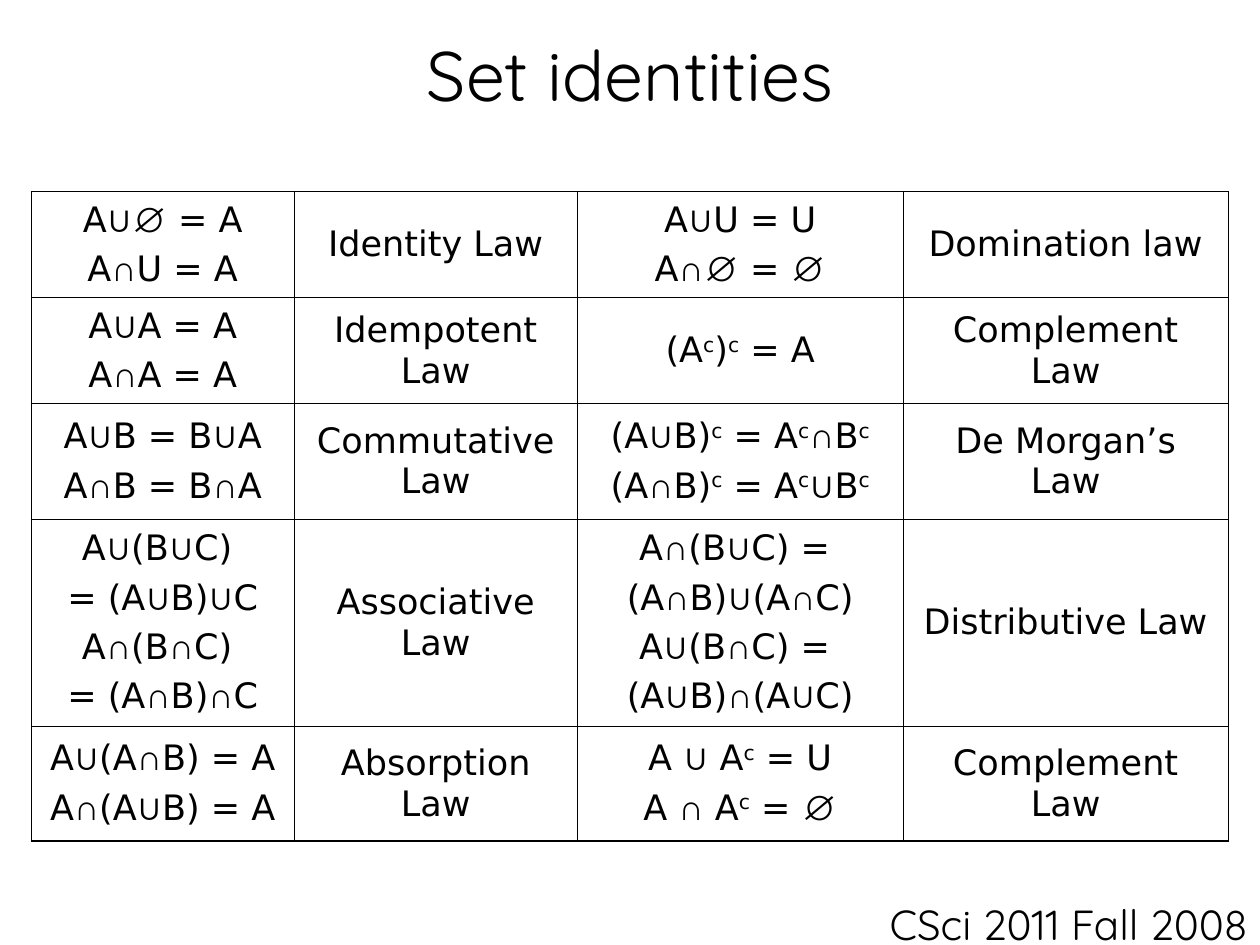
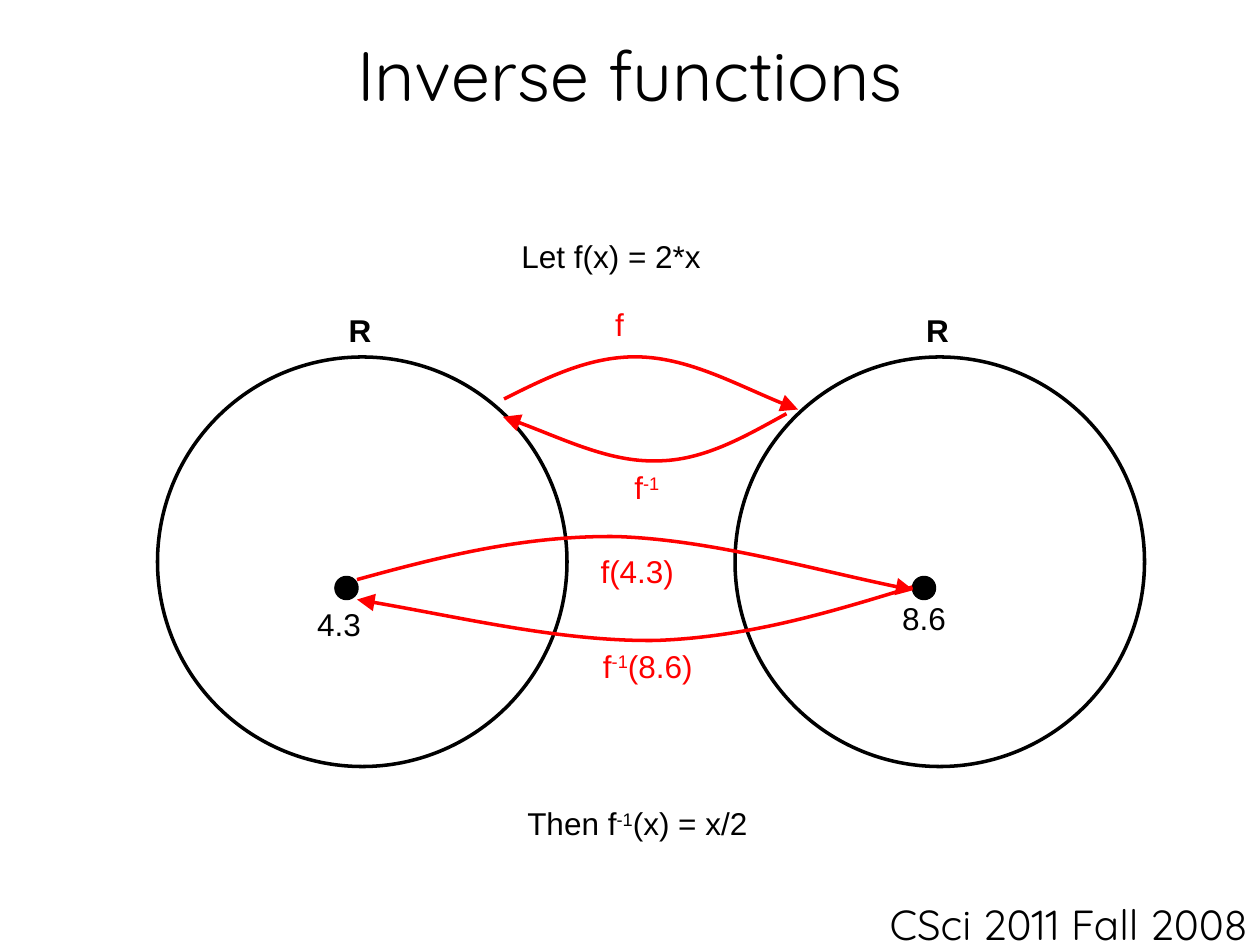
from dataclasses import dataclass
from itertools import groupby

from lxml import etree
from pptx import Presentation
from pptx.dml.color import RGBColor
from pptx.enum.shapes import MSO_SHAPE
from pptx.enum.text import MSO_ANCHOR, MSO_AUTO_SIZE, PP_ALIGN
from pptx.oxml.ns import qn
from pptx.shapes.base import BaseShape
from pptx.slide import Slide
from pptx.table import _Cell
from pptx.text.text import TextFrame
from pptx.util import Emu, Inches, Pt

OVAL = MSO_SHAPE.OVAL
MIDDLE, TOP = MSO_ANCHOR.MIDDLE, MSO_ANCHOR.TOP
CENTER, RIGHT = PP_ALIGN.CENTER, PP_ALIGN.RIGHT
GROW = MSO_AUTO_SIZE.SHAPE_TO_FIT_TEXT

# Shared look; every position is counted in grid squares of 1/12 inch
COLUMNS, ROWS, SQUARE = 120, 90, 1 / 12
BLACK, RED = "000000", "FF0000"
HEAD_FONT, LABEL_FONT, LAW_FONT = "Quicksand", "Arial", "DejaVu Sans"
SET_SYMBOLS = "∪∩∅"
COURSE = "CSci 2011 Fall 2008"
LINE_WIDTH, INNER_BORDER, OUTER_BORDER = 2, 0.45, 1.08


@dataclass(frozen=True)
class TextStyle:
    font: str
    size: int
    color: str = BLACK
    align: PP_ALIGN = CENTER
    bold: bool = False
    gap: int = 0


@dataclass(frozen=True)
class Label:
    text: str
    center: float
    top: float
    width: float
    color: str = BLACK
    bold: bool = False


@dataclass(frozen=True)
class Disc:
    left: float
    top: float
    size: float
    filled: bool = False


Point = tuple[float, float]
Curve = list[Point]

TITLE = TextStyle(HEAD_FONT, 40)
FOOTER = TextStyle(HEAD_FONT, 24, align=RIGHT)
LAW = TextStyle(LAW_FONT, 20, gap=5)

# Set identities: formula and law, twice per row; |…| marks a superscript
LAW_COLUMNS = [25, 27, 31, 31]
LAW_ROWS = [10.1, 10.1, 11, 19.7, 10.95]
LAWS = [
    ["A∪∅ = A\nA∩U = A", "Identity Law", "A∪U = U\nA∩∅ = ∅", "Domination law"],
    ["A∪A = A\nA∩A = A", "Idempotent Law", "(A|c|)|c| = A", "Complement Law"],
    ["A∪B = B∪A\nA∩B = B∩A", "Commutative Law",
     "(A∪B)|c| = A|c|∩B|c|\n(A∩B)|c| = A|c|∪B|c|", "De Morgan’s Law"],
    ["A∪(B∪C) \n= (A∪B)∪C\nA∩(B∩C) \n= (A∩B)∩C", "Associative Law",
     "A∩(B∪C) = \n(A∩B)∪(A∩C)\nA∪(B∩C) = \n(A∪B)∩(A∪C)", "Distributive Law"],
    ["A∪(A∩B) = A\nA∩(A∪B) = A", "Absorption Law",
     "A ∪ A|c| = U\nA ∩ A|c| = ∅", "Complement Law"],
]

# Inverse functions: the right-hand set repeats the left one
SET_OFFSET = 55
SETS = [Disc(15 + shift, 34, 39) for shift in (0, SET_OFFSET)]
ELEMENTS = [Disc(32 + shift, 55, 2, filled=True) for shift in (0, SET_OFFSET)]
LABELS = [
    *[Label("R", 34.3 + shift, 29, 5, bold=True) for shift in (0, SET_OFFSET)],
    Label("f", 59, 28.5, 4, RED),
    Label("4.3", 32.3, 57, 8),
    Label("8.6", 88, 56.5, 8),
    Label("Let f(x) = 2*x", 58.2, 22, 22),
    Label("f|-1|", 61.6, 44, 6, RED),
    Label("f(4.3)", 60.7, 52, 11, RED),
    Label("f|-1|(8.6)", 61.7, 61, 13, RED),
    Label("Then f|-1|(x) = x/2", 60.7, 76, 26),
]
# Start point, then two control points and an end point per Bézier piece
MAPPINGS: list[Curve] = [
    [(48, 38), (52.2, 35.9), (56.4, 33.8), (61.1, 34),
     (65.8, 34.2), (71.2, 37.2), (76, 39)],
    [(34, 55.2), (42, 53), (49.9, 51), (58.7, 51.1),
     (67.6, 51.4), (77.9, 54.4), (87, 56.2)],
    [(74.9, 39.4), (70.9, 41.6), (67, 43.9), (62.5, 43.9),
     (58, 44), (52.6, 41.3), (47.9, 39.7)],
    [(86.9, 55.9), (79.1, 58.3), (71.2, 60.7), (62.4, 61),
     (53.5, 61.1), (43.1, 58.6), (34, 57.1)],
]


def grid(squares: float) -> Emu:
    return Inches(squares * SQUARE)


def rgb(value: str) -> RGBColor:
    return RGBColor.from_string(value)


def write(frame: TextFrame, text: str, style: TextStyle) -> None:
    """Fill a frame, one paragraph a line, with superscripts and set symbols."""
    for index, line in enumerate(text.split("\n")):
        paragraph = frame.add_paragraph() if index else frame.paragraphs[0]
        paragraph.alignment = style.align
        if index:
            paragraph.space_before = Pt(style.gap)
        paragraph.font.name = style.font
        paragraph.font.size = Pt(style.size)
        paragraph.font.bold = style.bold
        paragraph.font.color.rgb = rgb(style.color)
        for part, piece in enumerate(line.split("|")):
            for is_symbol, letters in groupby(piece, lambda c: c in SET_SYMBOLS):
                run = paragraph.add_run()
                run.text = "".join(letters)
                if is_symbol:
                    run.font.name = LABEL_FONT
                if part % 2:
                    run.font._element.set("baseline", "30000")


def add_text(slide: Slide, text: str, box: tuple[float, float, float, float],
             style: TextStyle, anchor: MSO_ANCHOR = TOP, wrap: bool = True) -> None:
    frame = slide.shapes.add_textbox(*map(grid, box)).text_frame
    frame.word_wrap = wrap
    frame.vertical_anchor = anchor
    if not wrap:
        frame.auto_size = GROW
    write(frame, text, style)


def add_page(deck: Presentation, title: str) -> Slide:
    slide = deck.slides.add_slide(deck.slide_layouts[6])
    add_text(slide, COURSE, (79, 85, 41, 5), FOOTER)
    add_text(slide, title, (3, 2, 114, 10), TITLE, MIDDLE)
    return slide


def set_border(cell: _Cell, side: str, width: float) -> None:
    border = etree.SubElement(cell._tc.get_or_add_tcPr(), qn(f"a:ln{side}"),
                              w=str(Pt(width)))
    fill = etree.SubElement(border, qn("a:solidFill"))
    etree.SubElement(fill, qn("a:srgbClr"), val=BLACK)


def add_laws(slide: Slide) -> None:
    row_count, column_count = len(LAW_ROWS), len(LAW_COLUMNS)
    table = slide.shapes.add_table(
        row_count, column_count, grid(3), grid(18.25),
        grid(sum(LAW_COLUMNS)), grid(sum(LAW_ROWS))).table
    table.first_row = table.horz_banding = False
    for column, width in zip(table.columns, LAW_COLUMNS):
        column.width = grid(width)
    for r, (row, height) in enumerate(zip(table.rows, LAW_ROWS)):
        row.height = grid(height)
        for c, cell in enumerate(row.cells):
            cell.vertical_anchor = MIDDLE
            write(cell.text_frame, LAWS[r][c], LAW)
            outer_sides = {"L": c == 0, "R": c == column_count - 1,
                           "T": r == 0, "B": r == row_count - 1}
            for side, is_outer in outer_sides.items():
                set_border(cell, side, OUTER_BORDER if is_outer else INNER_BORDER)
            cell.fill.background()


def outline(shape: BaseShape, color: str) -> None:
    shape.shadow.inherit = False
    shape.line.color.rgb = rgb(color)
    shape.line.width = Pt(LINE_WIDTH)


def add_disc(slide: Slide, disc: Disc) -> None:
    shape = slide.shapes.add_shape(
        OVAL, *map(grid, (disc.left, disc.top, disc.size, disc.size)))
    outline(shape, BLACK)
    if disc.filled:
        shape.fill.solid()
        shape.fill.fore_color.rgb = rgb(BLACK)
    else:
        shape.fill.background()


def add_mapping(slide: Slide, curve: Curve) -> None:
    start, *others = [(grid(x), grid(y)) for x, y in curve]
    builder = slide.shapes.build_freeform(*start)
    builder.add_line_segments(others, close=False)
    arrow = builder.convert_to_shape()
    arrow.fill.background()
    outline(arrow, RED)
    # Turn each three straight segments into one Bézier piece
    segments = list(arrow._element.iter(qn("a:lnTo")))
    for first in range(0, len(segments), 3):
        bezier = etree.Element(qn("a:cubicBezTo"))
        segments[first].addprevious(bezier)
        for segment in segments[first:first + 3]:
            bezier.append(segment[0])
            segment.getparent().remove(segment)
    etree.SubElement(arrow.line._get_or_add_ln(), qn("a:tailEnd"),
                     type="triangle", w="lg", len="lg")


def main() -> None:
    deck = Presentation()
    deck.slide_width, deck.slide_height = grid(COLUMNS), grid(ROWS)

    add_laws(add_page(deck, "Set identities"))

    inverse = add_page(deck, "Inverse functions")
    for disc in SETS + ELEMENTS:
        add_disc(inverse, disc)
    for curve in MAPPINGS:
        add_mapping(inverse, curve)
    for label in LABELS:
        box = (label.center - label.width / 2, label.top, label.width, 4.8)
        style = TextStyle(LABEL_FONT, 18, label.color, bold=label.bold)
        add_text(inverse, label.text, box, style, wrap=False)

    deck.save("out.pptx")


if __name__ == "__main__":
    main()
